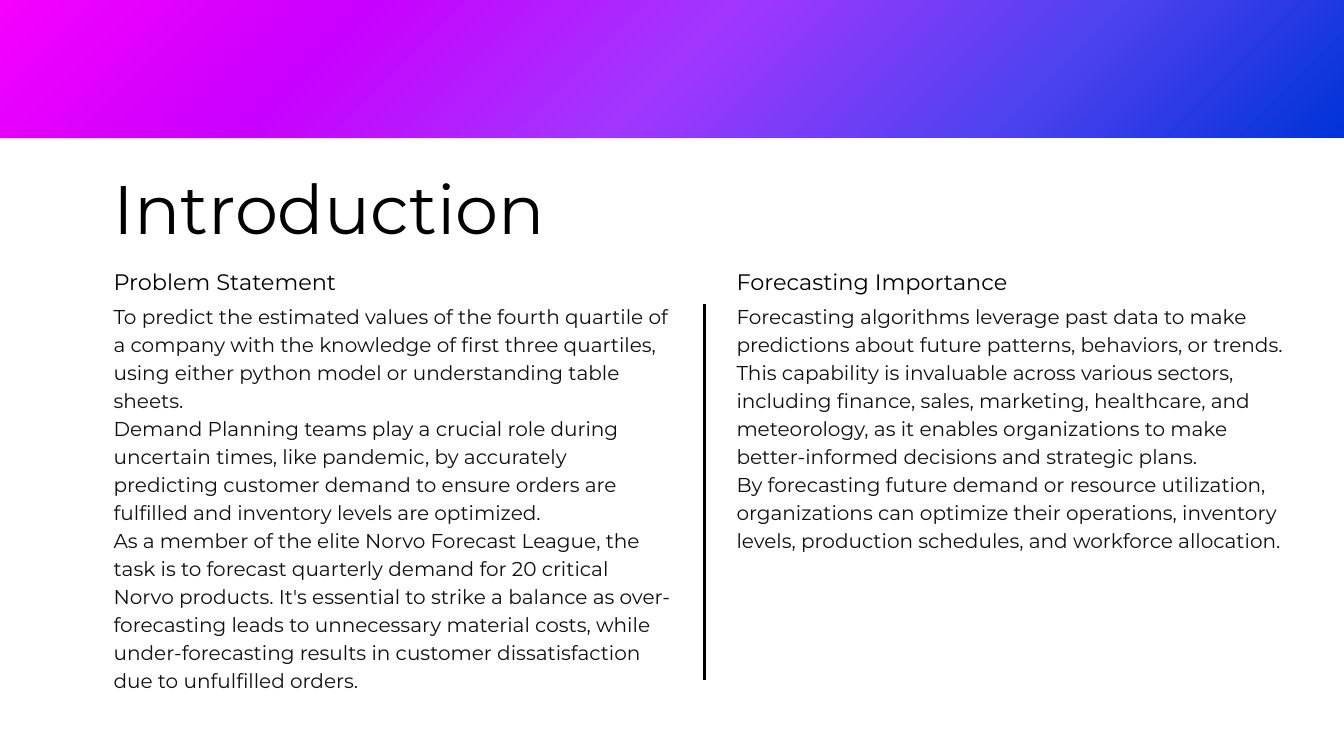
"""Build an introduction slide with a gradient banner and two text columns."""

from lxml.etree import SubElement
from pptx import Presentation
from pptx.dml.color import RGBColor
from pptx.enum.shapes import MSO_CONNECTOR, MSO_SHAPE
from pptx.enum.text import MSO_ANCHOR, MSO_AUTO_SIZE, PP_ALIGN
from pptx.oxml.ns import qn
from pptx.util import Inches, Pt

FONT = "Montserrat"
BLACK = RGBColor(0x00, 0x00, 0x00)
CHARCOAL = RGBColor(0x10, 0x10, 0x10)
BANNER_COLORS = [
    RGBColor(0xF6, 0x00, 0xFE),
    RGBColor(0xC9, 0x00, 0xFE),
    RGBColor(0xA1, 0x36, 0xFF),
    RGBColor(0x51, 0x42, 0xF0),
    RGBColor(0x00, 0x33, 0xD9),
]

TITLE = "Introduction"
COLUMNS = [
    {
        "left": 1.69,
        "height": 5.77,
        "heading": "Problem Statement",
        "body": [
            "To predict the estimated values of the fourth quartile of a company with the "
            "knowledge of first three quartiles, using either python model or understanding "
            "table sheets.",
            "Demand Planning teams play a crucial role during uncertain times, like pandemic, "
            "by accurately predicting customer demand to ensure orders are fulfilled and "
            "inventory levels are optimized.",
            "As a member of the elite Norvo Forecast League, the task is to forecast quarterly "
            "demand for 20 critical Norvo products. It's essential to strike a balance as "
            "over-forecasting leads to unnecessary material costs, while under-forecasting "
            "results in customer dissatisfaction due to unfulfilled orders.",
        ],
    },
    {
        "left": 10.96,
        "height": 3.7,
        "heading": "Forecasting Importance",
        "body": [
            "Forecasting algorithms leverage past data to make predictions about future "
            "patterns, behaviors, or trends. This capability is invaluable across various "
            "sectors, including finance, sales, marketing, healthcare, and meteorology, as it "
            "enables organizations to make better-informed decisions and strategic plans.",
            "By forecasting future demand or resource utilization, organizations can optimize "
            "their operations, inventory levels, production schedules, and workforce "
            "allocation.",
        ],
    },
]


def fill_placeholder(shape, box, texts, size, leading, color):
    shape.left, shape.top, shape.width, shape.height = (Inches(value) for value in box)
    frame = shape.text_frame
    frame.margin_left = frame.margin_top = frame.margin_right = frame.margin_bottom = 0
    frame.word_wrap = True
    frame.auto_size = MSO_AUTO_SIZE.NONE
    frame.vertical_anchor = MSO_ANCHOR.TOP
    frame.text = "\n".join(texts)
    for paragraph in frame.paragraphs:
        properties = paragraph._p.get_or_add_pPr()
        properties.set("marL", "0")
        properties.set("indent", "0")
        SubElement(properties, qn("a:buNone"))
        paragraph.alignment = PP_ALIGN.LEFT
        paragraph.line_spacing = Pt(leading)
        paragraph.space_before = Pt(0)
        paragraph.font.name = FONT
        paragraph.font.size = Pt(size)
        paragraph.font.bold = False
        paragraph.font.color.rgb = color


def add_banner(slide, width, height):
    banner = slide.shapes.add_shape(MSO_SHAPE.RECTANGLE, 0, 0, width, height)
    banner.shadow.inherit = False
    banner.line.fill.background()
    banner.fill.gradient()
    gradient = banner._element.spPr.find(qn("a:gradFill"))
    for child in list(gradient):
        gradient.remove(child)
    stops = SubElement(gradient, qn("a:gsLst"))
    step = 100000 // (len(BANNER_COLORS) - 1)
    for index, color in enumerate(BANNER_COLORS):
        stop = SubElement(stops, qn("a:gs"), pos=str(index * step))
        SubElement(stop, qn("a:srgbClr"), val=str(color))
    circle = SubElement(gradient, qn("a:path"), path="circle")
    SubElement(circle, qn("a:fillToRect"), r="100000", b="100000")


def add_divider(slide, x, top, bottom):
    divider = slide.shapes.add_connector(
        MSO_CONNECTOR.STRAIGHT, Inches(x), Inches(top), Inches(x), Inches(bottom)
    )
    divider.line.color.rgb = BLACK
    divider.line.width = Pt(3)
    SubElement(divider._element.spPr, qn("a:effectLst"))


def main():
    presentation = Presentation()
    presentation.slide_width = Inches(20)
    presentation.slide_height = Inches(11.25)
    comparison_layout = presentation.slide_layouts[4]
    slide = presentation.slides.add_slide(comparison_layout)

    add_banner(slide, presentation.slide_width, Inches(2.05))
    title, *column_parts = slide.placeholders
    fill_placeholder(title, (1.69, 2.26, 9.18, 1.36), [TITLE], 73.4, 102.8, BLACK)
    for column, heading, body in zip(COLUMNS, column_parts[::2], column_parts[1::2]):
        left = column["left"]
        fill_placeholder(heading, (left, 3.93, 4.93, 0.43), [column["heading"]], 24, 33.6, BLACK)
        body_box = (left, 4.47, 8.31, column["height"])
        fill_placeholder(body, body_box, column["body"], 21.5, 30, CHARCOAL)
    add_divider(slide, 10.48, 4.52, 10.12)

    presentation.save("out.pptx")


if __name__ == "__main__":
    main()
